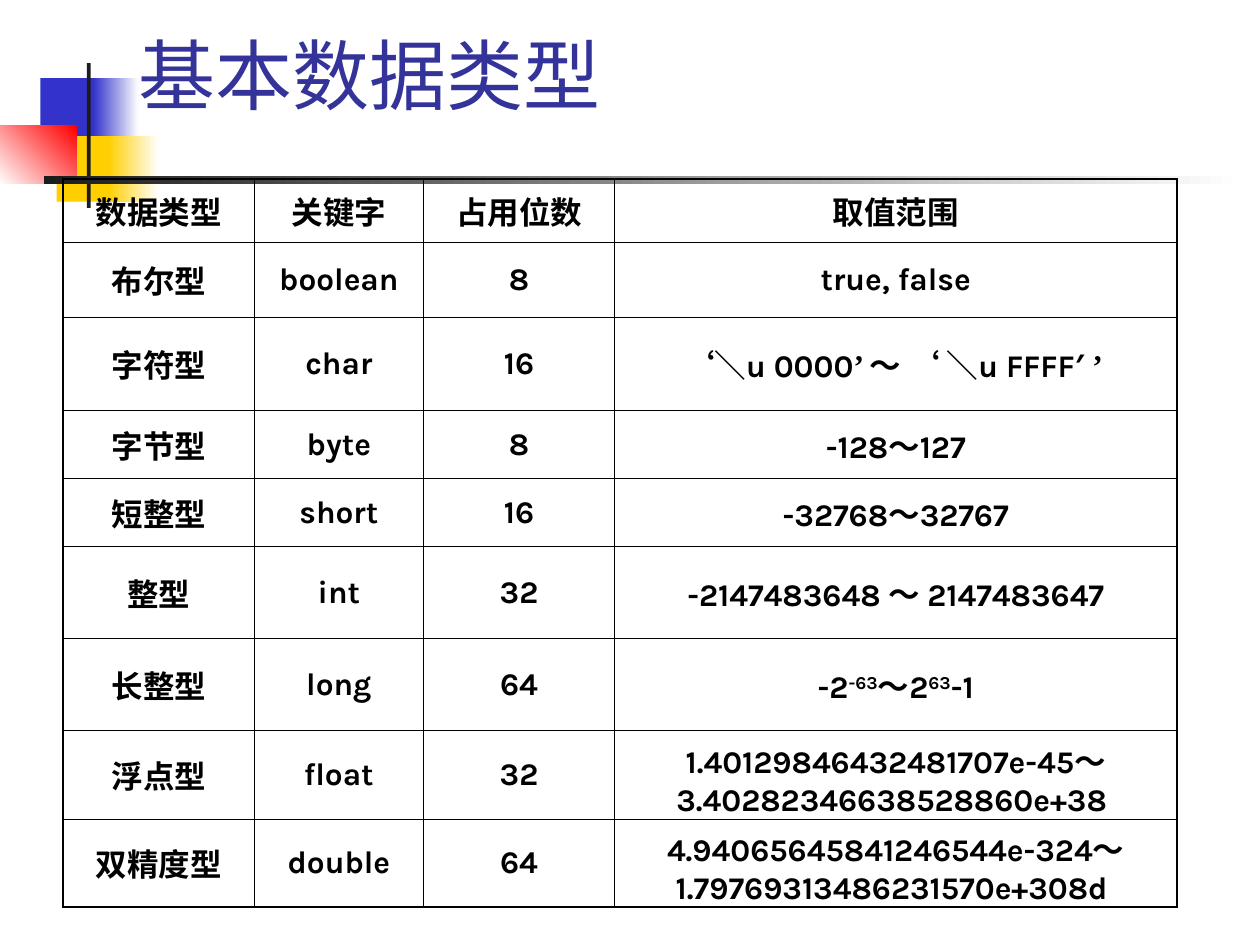
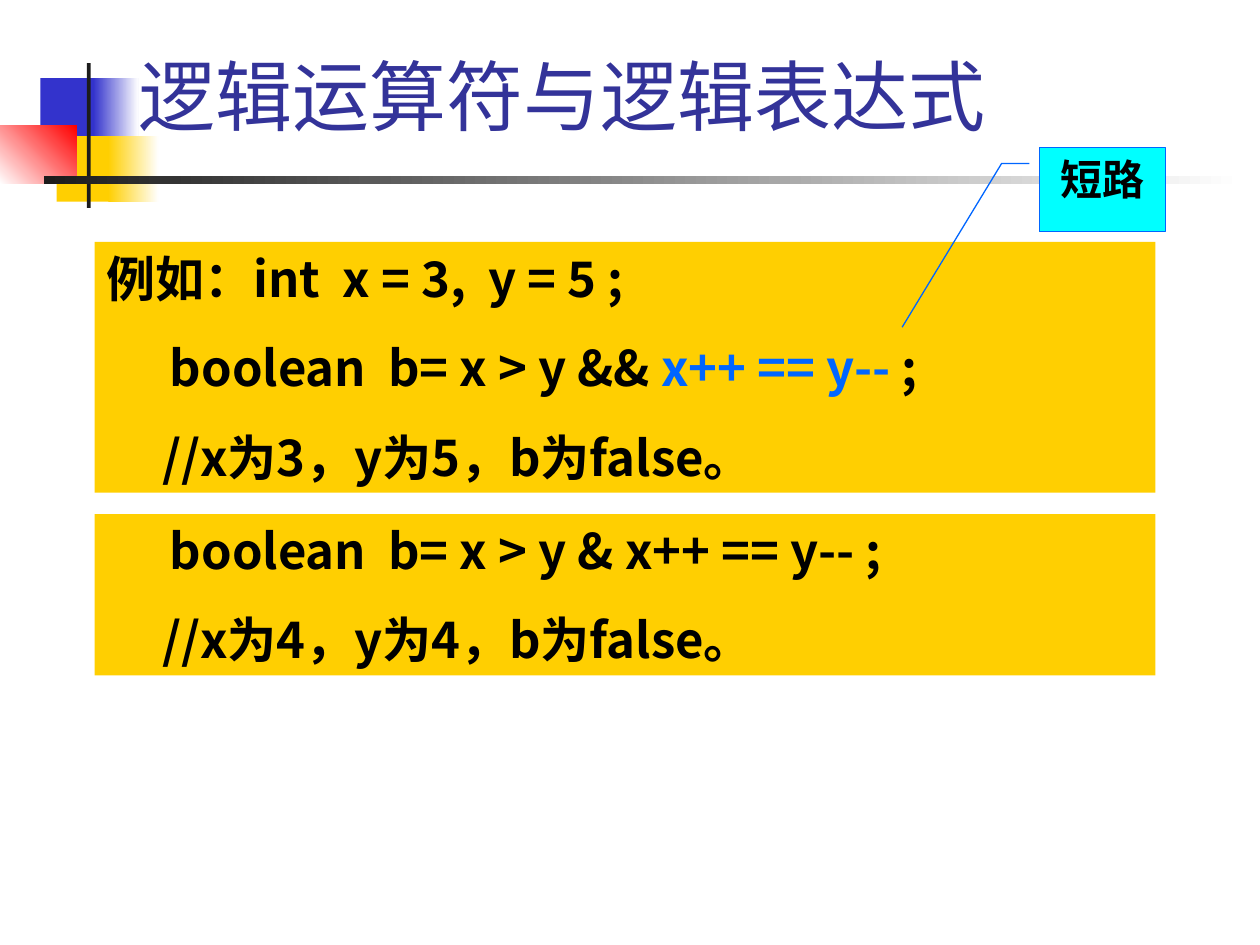
from lxml import etree
from pptx import Presentation
from pptx.dml.color import RGBColor
from pptx.enum.shapes import MSO_SHAPE
from pptx.enum.text import MSO_ANCHOR, PP_ALIGN
from pptx.oxml.ns import qn
from pptx.util import Inches, Pt

BLACK = RGBColor(0x00, 0x00, 0x00)
WHITE = RGBColor(0xFF, 0xFF, 0xFF)
CHARCOAL = RGBColor(0x1C, 0x1C, 0x1C)
INDIGO = RGBColor(0x33, 0x33, 0x99)
BLUE = RGBColor(0x33, 0x33, 0xCC)
YELLOW = RGBColor(0xFF, 0xCF, 0x01)
RED = RGBColor(0xFF, 0x00, 0x00)
CYAN = RGBColor(0x00, 0xFF, 0xFF)
ACCENT = RGBColor(0x00, 0x66, 0xFF)

CJK = "Noto Sans CJK SC"
LATIN = "Karla"
SERIF = "Times New Roman"

RECT = MSO_SHAPE.RECTANGLE
CALLOUT = MSO_SHAPE.LINE_CALLOUT_2
LEFT, CENTER, JUSTIFY = PP_ALIGN.LEFT, PP_ALIGN.CENTER, PP_ALIGN.JUSTIFY
TOP, MIDDLE, BOTTOM = MSO_ANCHOR.TOP, MSO_ANCHOR.MIDDLE, MSO_ANCHOR.BOTTOM

THIN, THICK = Pt(0.45), Pt(1.08)

# left, top, width, height, fill (two colours make a gradient), gradient angle
DECORATION = [
    (0.32, 0.62, 0.48, 0.52, (BLUE,), 0),
    (0.74, 0.62, 0.36, 0.52, (BLUE, WHITE), 0),
    (0.45, 1.08, 0.46, 0.52, (YELLOW,), 0),
    (0.86, 1.08, 0.4, 0.52, (YELLOW, WHITE), 0),
    (0, 1, 0.61, 0.46, (WHITE, RED), 45),
    (0.69, 0.5, 0.03, 1.15, (CHARCOAL,), 0),
    (0.35, 1.4, 9.51, 0.06, (CHARCOAL, WHITE), 0),
]

SERIF_RUN = {"font": SERIF}
SUPERSCRIPT = {"baseline": "30000"}
CHAR_RANGE = [
    ("‘", SERIF_RUN), ("＼u 0000", {}), ("’ ", SERIF_RUN), ("～ ", {}),
    ("‘", SERIF_RUN), (" ＼u FFFF′ ", {}), ("’ ", SERIF_RUN),
]
LONG_RANGE = [("-2", {}), ("-63", SUPERSCRIPT), ("～2", {}), ("63", SUPERSCRIPT), ("-1", {})]

# Each cell is a list of paragraphs in the last column, plain text elsewhere
TYPE_ROWS = [
    ("数据类型", "关键字", "占用位数", ["取值范围"]),
    ("布尔型", "boolean", "8", ["true, false"]),
    ("字符型", "char", "16", [CHAR_RANGE]),
    ("字节型", "byte", "8", ["-128～127"]),
    ("短整型", "short", "16", ["-32768～32767"]),
    ("整型", "int", "32", ["-2147483648 ～ 2147483647"]),
    ("长整型", "long", "64", [LONG_RANGE]),
    ("浮点型", "float", "32", ["1.40129846432481707e-45～", "3.40282346638528860e+38 "]),
    ("双精度型", "double", "64", ["4.94065645841246544e-324～", "1.79769313486231570e+308d "]),
]
COLUMN_WIDTHS = [1.52, 1.34, 1.52, 4.46]
ROW_HEIGHTS = [0.5, 0.6, 0.74, 0.54, 0.54, 0.73, 0.73, 0.7, 0.7]


class Deck:
    """Holds the shared style and the slide being filled."""

    def __init__(self):
        self.prs = Presentation()
        self.prs.slide_width = Inches(10)
        self.prs.slide_height = Inches(7.5)
        self.s = None

    def new_slide(self, title, title_top):
        self.s = self.prs.slides.add_slide(self.prs.slide_layouts[6])
        for left, top, width, height, colors, angle in DECORATION:
            self.shape(RECT, left, top, width, height, colors, angle)
        box = self.s.shapes.add_textbox(Inches(1), Inches(title_top), Inches(8.58), Inches(1))
        self.fill_text(box.text_frame, [title], 44, color=INDIGO, bold=False, anchor=BOTTOM)

    def shape(self, kind, left, top, width, height, colors, angle=0):
        sp = self.s.shapes.add_shape(
            kind, Inches(left), Inches(top), Inches(width), Inches(height))
        sp.shadow.inherit = False
        sp.line.fill.background()
        if len(colors) == 1:
            sp.fill.solid()
            sp.fill.fore_color.rgb = colors[0]
        else:
            sp.fill.gradient()
            sp.fill.gradient_angle = angle
            for position, (stop, color) in enumerate(zip(sp.fill.gradient_stops, colors)):
                stop.color.rgb = color
                stop.position = position
        return sp

    def fill_text(self, tf, paragraphs, size, font=CJK, color=BLACK, bold=True,
                  align=LEFT, anchor=TOP, space=0):
        """Fill a frame; a paragraph is a string or a list of (text, overrides)."""
        tf.word_wrap = True
        tf.vertical_anchor = anchor
        for i, runs in enumerate(paragraphs):
            p = tf.add_paragraph() if i else tf.paragraphs[0]
            p.alignment = align
            p.space_before = Pt(space if i else 0)
            for text, look in [(runs, {})] if isinstance(runs, str) else runs:
                r = p.add_run()
                r.text = text
                r.font.size = Pt(size)
                r.font.bold = bold
                r.font.color.rgb = look.get("color", color)
                r.font.name = look.get("font", font)
                rPr = r._r.get_or_add_rPr()
                etree.SubElement(rPr, qn("a:ea")).set("typeface", CJK)
                if "baseline" in look:
                    rPr.set("baseline", look["baseline"])

    def code_panel(self, top, height, lines):
        sp = self.shape(RECT, 0.75, top, 8.42, height, (YELLOW,))
        self.fill_text(sp.text_frame, lines, 28, align=JUSTIFY, space=17.5)
        return sp

    def callout(self, left, top, width, height, text, adjustments):
        sp = self.shape(CALLOUT, left, top, width, height, (CYAN,))
        sp.line.color.rgb = ACCENT
        sp.line.width = Pt(0.75)
        for i, value in enumerate(adjustments):
            sp.adjustments[i] = value
        self.fill_text(sp.text_frame, [text], 24, font=LATIN, align=CENTER)

    def table(self, left, top, widths, heights, rows):
        frame = self.s.shapes.add_table(
            len(rows), len(widths), Inches(left), Inches(top),
            Inches(sum(widths)), Inches(sum(heights)))
        table = frame.table
        table.first_row = table.horz_banding = False
        for column, width in zip(table.columns, widths):
            column.width = Inches(width)
        for row, height in zip(table.rows, heights):
            row.height = Inches(height)
        last_row, last_column = len(rows) - 1, len(widths) - 1
        for i, row in enumerate(rows):
            for j, content in enumerate(row):
                cell = table.cell(i, j)
                paragraphs = [content] if isinstance(content, str) else content
                self.fill_text(cell.text_frame, paragraphs, 18, font=LATIN, align=CENTER)
                cell.vertical_anchor = MIDDLE
                outer = {"L": j == 0, "R": j == last_column, "T": i == 0, "B": i == last_row}
                self.cell_borders(cell, outer)
                cell.fill.background()

    def cell_borders(self, cell, outer):
        tcPr = cell._tc.get_or_add_tcPr()
        for side, is_outer in outer.items():
            ln = etree.SubElement(tcPr, qn(f"a:ln{side}"))
            ln.set("w", str(int(THICK if is_outer else THIN)))
            fill = etree.SubElement(ln, qn("a:solidFill"))
            etree.SubElement(fill, qn("a:srgbClr")).set("val", str(BLACK))


def main():
    deck = Deck()

    deck.new_slide("基本数据类型", 0)
    deck.table(0.5, 1.42, COLUMN_WIDTHS, ROW_HEIGHTS, TYPE_ROWS)

    deck.new_slide("逻辑运算符与逻辑表达式", 0.17)
    deck.code_panel(4.08, 1.28, [
        "\tboolean  b= x > y & x++ == y-- ;",
        "     //x为4，y为4，b为false。",
    ])
    short_circuit = deck.code_panel(1.92, 1.99, [
        "例如：int  x = 3,  y = 5 ;",
        [("\tboolean  b= x > y && ", {}), ("x++ == y--", {"color": ACCENT}), (" ;", {})],
        "     //x为3，y为5，b为false。",
    ])
    short_circuit.text_frame.paragraphs[0].alignment = LEFT
    deck.callout(8.25, 1.17, 1, 0.67, "短路", [0.19, -0.08, 0.19, -0.3, 2.13, -1.09])

    deck.prs.save("out.pptx")


if __name__ == "__main__":
    main()
